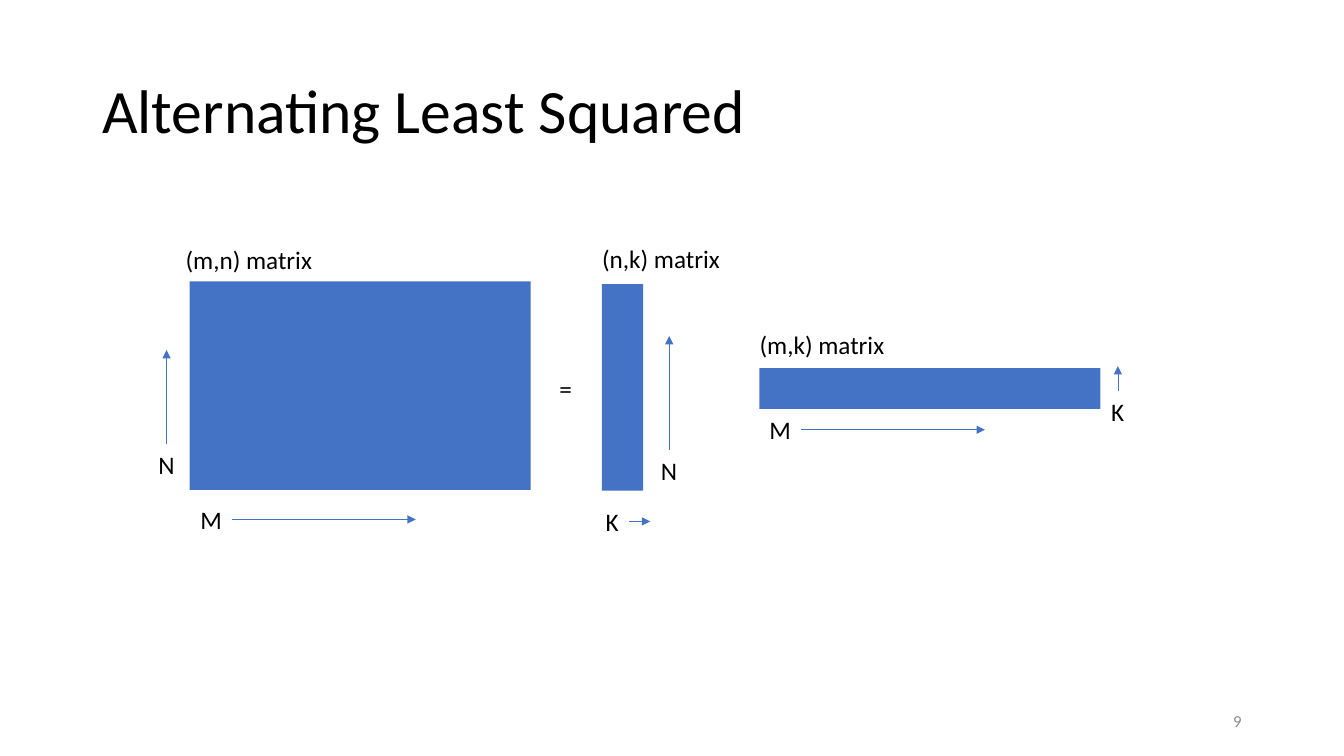
from dataclasses import dataclass

from pptx import Presentation
from pptx.dml.color import RGBColor
from pptx.enum.shapes import MSO_CONNECTOR, MSO_SHAPE
from pptx.enum.text import MSO_ANCHOR, PP_ALIGN
from pptx.oxml.ns import qn
from pptx.util import Pt
from lxml.etree import SubElement


@dataclass(frozen=True)
class Theme:
    font: str = "Calibri"
    ink: RGBColor = RGBColor(0x00, 0x00, 0x00)
    muted: RGBColor = RGBColor(0x8C, 0x8C, 0x8C)
    accent: RGBColor = RGBColor(0x44, 0x72, 0xC4)
    title_size: float = 44
    label_size: float = 18
    number_size: float = 12
    line_width: float = 0.5


@dataclass(frozen=True)
class Axis:
    letter: str
    offset: tuple  # label position relative to the matrix corner
    length: float
    upward: bool = False


THEME = Theme()
LABEL_HEIGHT = 29
LETTER_WIDTHS = {"M": 30, "N": 26, "K": 24}


def add_text(slide, box, text, size, color=THEME.ink, wrap=False,
             anchor=MSO_ANCHOR.TOP, align=PP_ALIGN.LEFT, spacing=1.0):
    frame = slide.shapes.add_textbox(*map(Pt, box)).text_frame
    frame.word_wrap = wrap
    frame.vertical_anchor = anchor
    paragraph = frame.paragraphs[0]
    paragraph.alignment = align
    paragraph.line_spacing = spacing
    run = paragraph.add_run()
    run.text = text
    run.font.name = THEME.font
    run.font.size = Pt(size)
    run.font.color.rgb = color


def add_arrow(slide, start, end):
    arrow = slide.shapes.add_connector(
        MSO_CONNECTOR.STRAIGHT, *map(Pt, (*start, *end)))
    arrow.line.color.rgb = THEME.accent
    arrow.line.width = Pt(THEME.line_width)
    SubElement(arrow.line._get_or_add_ln(), qn("a:tailEnd"), type="triangle")
    SubElement(arrow._element.spPr, qn("a:effectLst"))


def add_axis(slide, corner, axis):
    """Letter with an arrow that leaves it to the right or from its top."""
    left, top = corner[0] + axis.offset[0], corner[1] + axis.offset[1]
    width = LETTER_WIDTHS[axis.letter]
    add_text(slide, (left, top, width, LABEL_HEIGHT), axis.letter, THEME.label_size)
    if axis.upward:
        x = left + width / 2
        add_arrow(slide, (x, top), (x, top - axis.length))
    else:
        x, y = left + width, top + LABEL_HEIGHT / 2
        add_arrow(slide, (x, y), (x + axis.length, y))


def add_matrix(slide, box, caption, caption_box, axes):
    """Block with a caption above it and one arrow for each dimension."""
    left, top, width, height = box
    block = slide.shapes.add_shape(MSO_SHAPE.RECTANGLE, *map(Pt, box))
    block.shadow.inherit = False
    block.fill.solid()
    block.fill.fore_color.rgb = THEME.accent
    block.line.fill.background()

    shift_x, shift_y, caption_width = caption_box
    add_text(slide, (left + shift_x, top + shift_y, caption_width, LABEL_HEIGHT),
             caption, THEME.label_size)
    for axis in axes:
        add_axis(slide, (left, top), axis)


def add_factorization(slide, box):
    """Full matrix, equals sign and its two factors."""
    left, top = box[:2]
    add_matrix(slide, (left, top, 243.5, 149), "(m,n) matrix", (-10, -30, 106),
               [Axis("M", (0.5, 155.5), 131), Axis("N", (-29.5, 116.5), 67.5, True)])
    add_text(slide, (left + 257, top + 62, 24, LABEL_HEIGHT), "=", THEME.label_size)
    add_matrix(slide, (left + 294.5, top + 2, 29.5, 147.5), "(n,k) matrix",
               (-7, -32.5, 99.5),
               [Axis("K", (-4.5, 155), 15), Axis("N", (35, 118.5), 81.5, True)])
    add_matrix(slide, (left + 407, top + 62, 243.5, 29), "(m,k) matrix",
               (-7, -31.5, 104.5),
               [Axis("M", (0, 29.5), 131), Axis("K", (244, 16.5), 18, True)])


def add_title(slide, box):
    add_text(slide, box, "Alternating Least Squared", THEME.title_size,
             wrap=True, anchor=MSO_ANCHOR.MIDDLE, spacing=0.9)


def add_slide_number(slide, box):
    add_text(slide, box, "9", THEME.number_size, THEME.muted, wrap=True,
             anchor=MSO_ANCHOR.MIDDLE, align=PP_ALIGN.RIGHT)


def main():
    presentation = Presentation()
    presentation.slide_width, presentation.slide_height = Pt(960), Pt(540)
    slide = presentation.slides.add_slide(presentation.slide_layouts[6])
    add_title(slide, (66, 29, 828, 104))
    add_factorization(slide, (135.5, 201, 650.5, 149))
    add_slide_number(slide, (678, 500.5, 216, 29))
    presentation.save("out.pptx")


if __name__ == "__main__":
    main()
